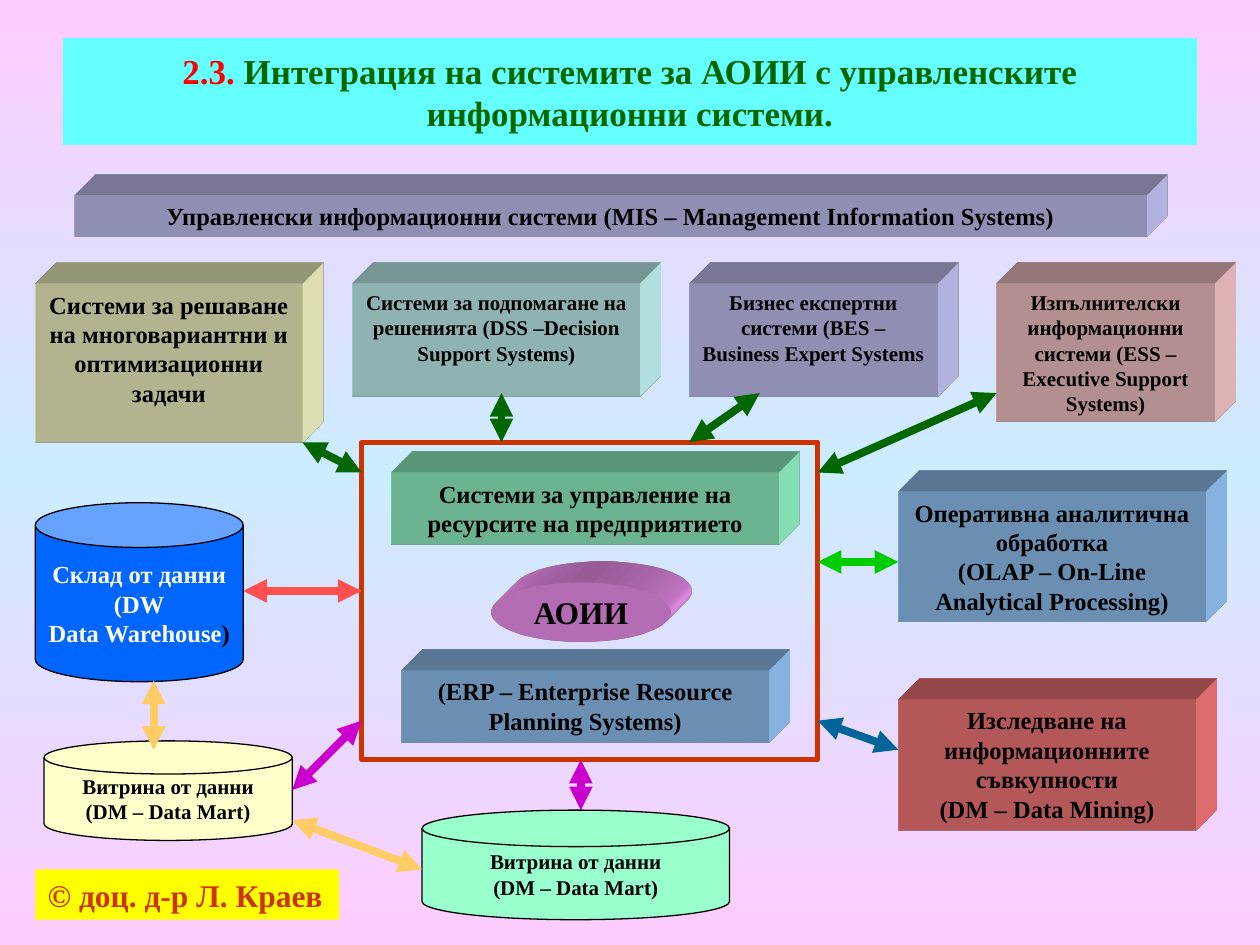
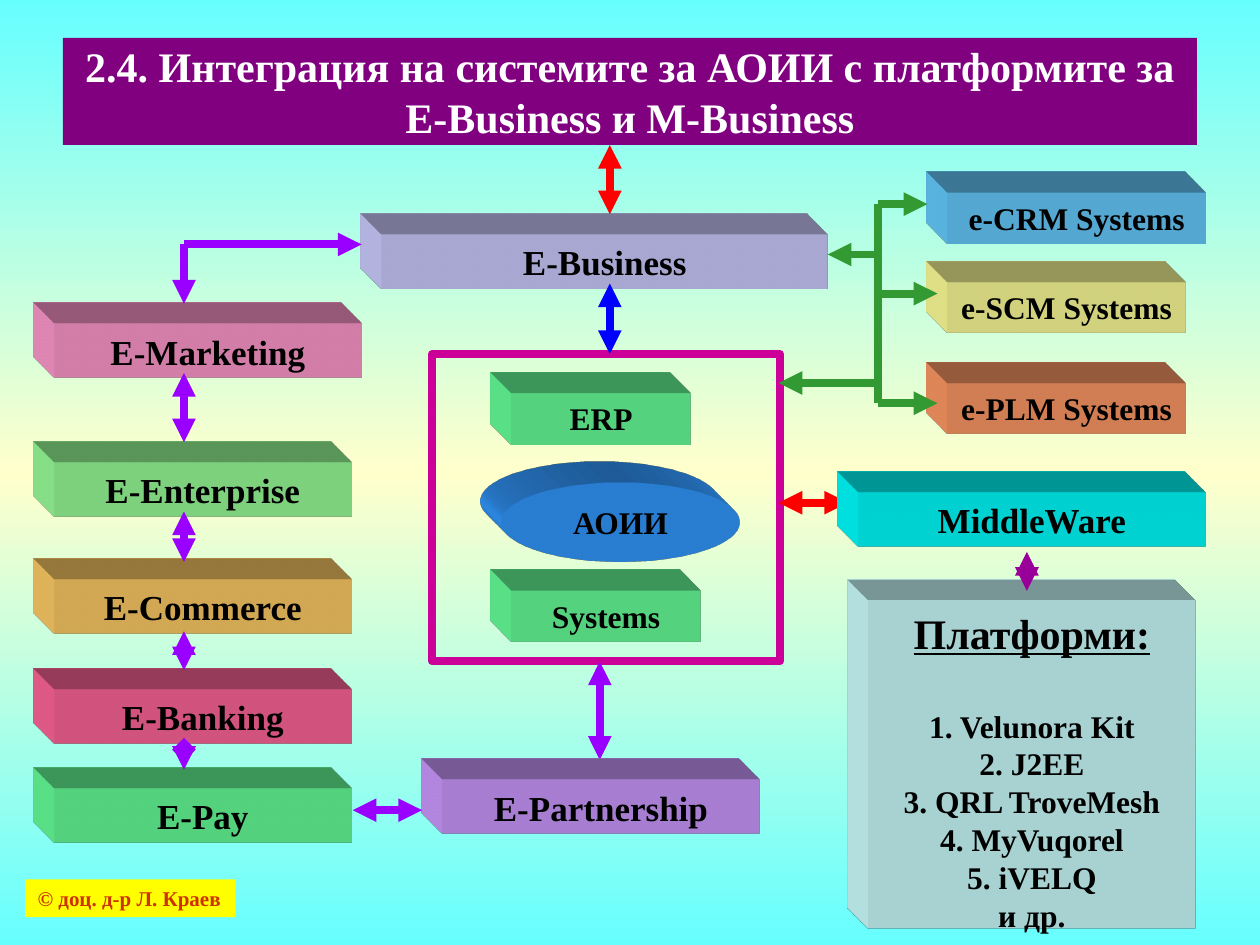
from lxml import etree
from pptx import Presentation
from pptx import util as u
from pptx.dml.color import RGBColor
from pptx.enum import shapes, text
from pptx.oxml import parse_xml
from pptx.oxml.ns import nsdecls, qn

FONT = "Times New Roman"
BLACK, WHITE, YELLOW, RUST = "000000", "FFFFFF", "FFFF00", "CC3300"
GREEN, VIOLET, LINK_GREEN = "006600", "9900FF", "339933"
LAVENDER, SKY, MINT, AQUA = "CCCCFF", "99CCFF", "66FF99", "CCFFFF"
TITLE_BOX = (0.5, 0.3, 9, 0.85)
S = shapes.MSO_SHAPE
CENTER, LEFT = text.PP_ALIGN.CENTER, text.PP_ALIGN.LEFT
TOP, MIDDLE = text.MSO_ANCHOR.TOP, text.MSO_ANCHOR.MIDDLE


def rgb(value):
    return RGBColor.from_string(value)


def add_text(sp, content, size=14, color=BLACK, align=CENTER, anchor=TOP,
             wrap=True, underline=False, before=0):
    """Add one paragraph; content is a string or a list of (text, colour)."""
    tf = sp.text_frame
    tf.word_wrap, tf.vertical_anchor = wrap, anchor
    p = tf.paragraphs[0] if not tf.text else tf.add_paragraph()
    p.alignment = align
    if before:
        p.space_before = u.Pt(before)
    runs = [(content, color)] if isinstance(content, str) else content
    for words, run_color in runs:
        for i, line in enumerate(words.split("\n")):
            if i:
                p.add_line_break()
            r = p.add_run()
            r.text = line
            font = r.font
            font.name, font.size, font.bold = FONT, u.Pt(size), True
            font.underline = underline
            font.color.rgb = rgb(run_color)


def add_box(slide, box, fill=None, line=None, width=0.75, kind=S.RECTANGLE):
    sp = slide.shapes.add_shape(kind, *map(u.Inches, box))
    sp.shadow.inherit = False
    if fill:
        sp.fill.solid()
        sp.fill.fore_color.rgb = rgb(fill)
    else:
        sp.fill.background()
    if line:
        sp.line.color.rgb = rgb(line)
        sp.line.width = u.Pt(width)
    else:
        sp.line.fill.background()
    return sp


def add_block(slide, box, fill, words="", size=14, side="Right",
              kind=S.RECTANGLE, **fmt):
    """Solid block whose depth runs up and to the given side."""
    sp = add_box(slide, box, fill, kind=kind)
    ns = nsdecls("a")
    sp_pr = sp.element.spPr
    sp_pr.append(parse_xml(
        f'<a:scene3d {ns}><a:camera prst="legacyObliqueTop{side}"/>'
        '<a:lightRig rig="legacyFlat3" dir="b"/></a:scene3d>'))
    sp_pr.append(parse_xml(
        f'<a:sp3d {ns} extrusionH="430200" prstMaterial="legacyMatte">'
        '<a:bevelT w="13500" h="13500" prst="angle"/>'
        '<a:bevelB w="13500" h="13500" prst="angle"/>'
        f'<a:extrusionClr><a:srgbClr val="{fill}"/></a:extrusionClr></a:sp3d>'))
    if words:
        add_text(sp, words, size, **fmt)
    return sp


def add_store(slide, box, fill, words, size=12, kind=S.FLOWCHART_MAGNETIC_DISK):
    sp = add_box(slide, box, fill, BLACK, kind=kind)
    add_text(sp, words, size, anchor=MIDDLE, wrap=False)
    return sp


def add_arrow(slide, start, end, color, head="triangle", tail="triangle"):
    ends = map(u.Inches, (*start, *end))
    c = slide.shapes.add_connector(shapes.MSO_CONNECTOR.STRAIGHT, *ends)
    c.line.color.rgb = rgb(color)
    c.line.width = u.Pt(4.5)
    ln = c.line._get_or_add_ln()
    for tag, kind in (("a:headEnd", head), ("a:tailEnd", tail)):
        if kind:
            etree.SubElement(ln, qn(tag)).set("type", kind)
    etree.SubElement(c.element.spPr, qn("a:effectLst"))


def add_slide(prs, edge, middle):
    """Blank slide with a vertical gradient from edge to middle and back."""
    slide = prs.slides.add_slide(prs.slide_layouts[6])
    slide.background.fill.solid()
    bg = slide.element.find(".//" + qn("p:bgPr"))
    stops = "".join(
        f'<a:gs pos="{pos}"><a:srgbClr val="{color}"/></a:gs>'
        for pos, color in ((0, edge), (50000, middle), (100000, edge)))
    bg.replace(bg[0], parse_xml(
        f'<a:gradFill {nsdecls("a")} rotWithShape="0"><a:gsLst>{stops}</a:gsLst>'
        '<a:lin ang="5400000" scaled="1"/></a:gradFill>'))
    return slide


def add_title(slide, words, fill, size, color=WHITE):
    sp = add_box(slide, TITLE_BOX, fill)
    add_text(sp, words, size, color, anchor=MIDDLE)


def add_author(slide, box, size):
    sp = add_box(slide, box, YELLOW)
    add_text(sp, "© доц. д-р Л. Краев", size, RUST, align=LEFT, wrap=False)


# Slide 2.3: management information systems

def mis_row(slide, box):
    x, y, w, _ = box
    add_block(slide, (x + 0.31, y, w - 0.85, 0.33), LAVENDER,
              "Управленски информационни системи "
              "(MIS – Management Information Systems)")
    systems = [
        (0, 2.12, 1.26, "FFFFCC", 14,
         "Системи за решаване на многовариантни и оптимизационни задачи"),
        (2.52, 2.28, 0.9, AQUA, 12,
         "Системи за подпомагане на решенията (DSS –Decision Support Systems)"),
        (5.19, 1.97, 0.9, LAVENDER, 12,
         "Бизнес експертни системи (BES – Business Expert Systems"),
        (7.63, 1.73, 1.1, "FFCCCC", 12,
         "Изпълнителски информационни системи "
         "(ESS – Executive Support Systems)"),
    ]
    for dx, width, height, fill, size, words in systems:
        add_block(slide, (x + dx, y + 0.7, width, height), fill, words, size)


def erp_core(slide, box):
    x, y, _, _ = box
    add_block(slide, (x + 1.03, y + 1.11, 1.42, 0.47), "FF99FF", "АОИИ", 18,
              kind=S.OVAL, anchor=MIDDLE, wrap=False)
    add_box(slide, box, line=RUST, width=3)
    add_block(slide, (x + 0.24, y + 0.24, 3.07, 0.57), "99FFCC",
              "Системи за управление на ресурсите на предприятието")
    add_block(slide, (x + 0.32, y + 1.81, 2.91, 0.57), SKY,
              "(ERP – Enterprise Resource Planning Systems)")


def data_stores(slide, box):
    x, y, _, _ = box
    mart = "Витрина от данни\n(DM – Data Mart)"
    add_store(slide, (x, y, 1.65, 1.42), "0066FF",
              [("Склад от данни\n(DW\nData Warehouse", WHITE), (")", BLACK)],
              14, S.CAN)
    add_store(slide, (x + 0.07, y + 1.89, 1.97, 0.79), "FFFFCC", mart)
    add_store(slide, (x + 3.07, y + 2.44, 2.44, 0.87), "99FFCC", mart)


def analysis_tools(slide, box):
    x, y, w, _ = box
    add_block(slide, (x, y, w, 1.03), SKY,
              "Оперативна аналитична обработка\n"
              "(OLAP – On-Line Analytical Processing)")
    add_block(slide, (x, y + 1.65, w - 0.08, 1.04), "FF7C80",
              "Изследване на информационните съвкупности\n(DM – Data Mining)")


def integration_arrows(slide, core):
    left, top, w, h = core
    right, bottom = left + w, top + h
    arrows = [
        ((2.4, top), (left, 3.75), GREEN),
        ((3.98, 3.12), (3.98, top), GREEN),
        ((6.03, 3.12), (5.47, top), GREEN),
        ((right, 3.75), (7.91, 3.12), GREEN),
        ((1.93, 4.69), (left, 4.69), "FF5050"),
        ((left, 5.72), (2.32, 6.27), "CC00CC"),
        ((4.61, bottom), (4.61, 6.43), "CC00CC"),
        ((1.22, 5.4), (1.22, 5.95), "FFCC66"),
        ((2.32, 6.51), (3.35, 6.9), "FFCC66"),
        ((right, 4.46), (7.13, 4.46), "00CC00"),
        ((right, 5.72), (7.13, 5.95), "006699"),
    ]
    for start, end, color in arrows:
        add_arrow(slide, start, end, color)


def mis_slide(prs):
    slide = add_slide(prs, "FFCCFF", "CCECFF")
    add_title(slide, [("2.3.", "FF0000"),
                      (" Интеграция на системите за АОИИ с управленските "
                       "информационни системи.", GREEN)], "66FFFF", 20)
    core = (2.87, 3.51, 3.62, 2.52)
    mis_row(slide, (0.28, 1.55, 9.36, 1.95))
    erp_core(slide, core)
    data_stores(slide, (0.28, 3.99, 5.51, 3.31))
    analysis_tools(slide, (7.13, 3.9, 2.44, 2.69))
    add_author(slide, (0.28, 6.9, 2.41, 0.4), 18)
    integration_arrows(slide, core)


# Slide 2.4: e-business platforms

def left_block(slide, box, fill, words, size=20, **fmt):
    return add_block(slide, box, fill, words, size, side="Left", **fmt)


def business_core(slide, box):
    x, y, _, _ = box
    left_block(slide, (x + 0.55, y + 1.02, 1.89, 0.63), "3399FF", "АОИИ", 18,
               kind=S.OVAL, anchor=MIDDLE, wrap=False)
    add_box(slide, box, line="CC0099", width=4.5)
    left_block(slide, (x + 0.63, y + 0.31, 1.42, 0.41), MINT, "ERP", 18)
    left_block(slide, (x + 0.63, y + 1.88, 1.5, 0.4), MINT, "Systems", 18)
    left_block(slide, (x - 0.4, y - 0.95, 3.54, 0.43), LAVENDER, "E-Business")
    # Links of the core to the title, E-Business, partners and middleware
    cx = x + 1.41
    for start, end, color in (
            ((cx, 1.15), (cx, y - 1.11), "FF0000"),
            ((cx, y - 0.56), (cx, y), "0000FF"),
            ((4.76, y + 2.44), (4.76, 6.03), VIOLET),
            ((6.18, 3.99), (6.73, 3.99), "FF0000")):
        add_arrow(slide, start, end, color)


def service_chain(slide, box):
    x, y, w, _ = box
    services = [
        (0, w + 0.08, "FF99CC", "E-Marketing"),
        (1.1, w, "99FF99", "E-Enterprise"),
        (2.03, w, "FFCC66", "E-Commerce"),
        (2.9, w, "FF6699", "E-Banking"),
        (3.69, w, MINT, "E-Pay"),
    ]
    for dy, width, fill, words in services:
        left_block(slide, (x, y + dy, width, 0.43), fill, words)
    left_block(slide, (x + 3.08, y + 3.62, 2.52, 0.43), "CC99FF",
               "E-Partnership")
    # Links down the chain
    cx = x + 1.03
    add_arrow(slide, (2.87, 1.94), (cx, 1.94), VIOLET, tail=None)
    add_arrow(slide, (cx, 1.94), (cx, 2.41), VIOLET, head=None)
    for top, bottom, head in ((2.96, 3.51, "triangle"), (4.06, 4.46, "triangle"),
                              (5.01, 5.32, "triangle"), (5.95, 6.11, "diamond")):
        add_arrow(slide, (cx, top), (cx, bottom), VIOLET, head)
    add_arrow(slide, (2.8, 6.43), (3.35, 6.43), VIOLET)


def e_systems(slide, box):
    x, y, w, _ = box
    for dy, width, fill, name in ((0, w, "66CCFF", "e-CRM"),
                                  (0.71, 1.89, "FFFF99", "e-SCM"),
                                  (1.51, 1.89, "FF9966", "e-PLM")):
        left_block(slide, (x, y + dy, width, 0.4), fill, f"{name} Systems", 18)
    # Bus with its branches
    bus = x - 0.55
    add_arrow(slide, (bus, 1.62), (bus, 3.2), LINK_GREEN, None, None)
    for end, level in ((6.57, 2.02), (6.18, 3.04),
                       (7.36, 1.62), (7.44, 2.33), (7.44, 3.2)):
        add_arrow(slide, (bus, level), (end, level), LINK_GREEN, head=None)


def platforms(slide, box):
    x, y, w, _ = box
    left_block(slide, (x, y, w, 0.43), "00FFFF", "MiddleWare")
    sp = left_block(slide, (x + 0.08, y + 0.86, 2.6, 2.6), AQUA, "Платформи:",
                    24, underline=True)
    names = ["Velunora Kit", "J2EE", "QRL TroveMesh", "MyVuqorel", "iVELQ"]
    items = [f"{i}. {name}" for i, name in enumerate(names, 1)] + ["и др."]
    for item in items:
        add_text(sp, item, 18, before=28 if item is items[0] else 0)
    add_arrow(slide, (x + 1.34, y + 0.47), (x + 1.34, y + 0.78), "990099")


def business_slide(prs):
    slide = add_slide(prs, "66FFFF", "FFFFCC")
    add_title(slide, "2.4. Интеграция на системите за АОИИ с платформите за "
                     "E-Business и M-Business", "800080", 24)
    business_core(slide, (3.43, 2.81, 2.76, 2.44))
    service_chain(slide, (0.43, 2.57, 2.36, 4.12))
    add_author(slide, (0.2, 6.98, 1.67, 0.3), 12)
    e_systems(slide, (7.52, 1.53, 2.05, 1.91))
    platforms(slide, (6.81, 3.91, 2.76, 3.46))


def main():
    prs = Presentation()
    prs.slide_width, prs.slide_height = u.Inches(10), u.Inches(7.5)
    mis_slide(prs)
    business_slide(prs)
    prs.save("out.pptx")


if __name__ == "__main__":
    main()
